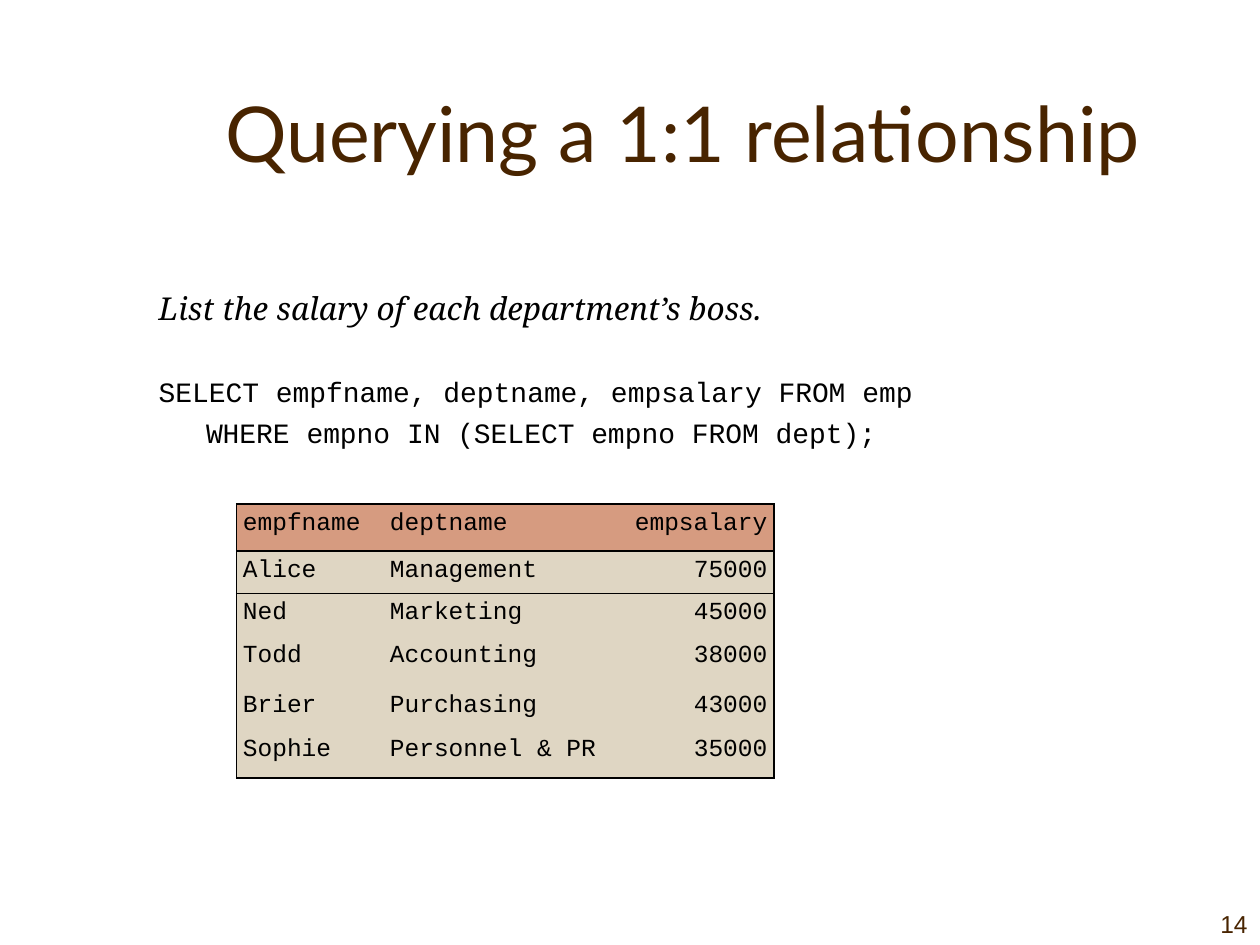
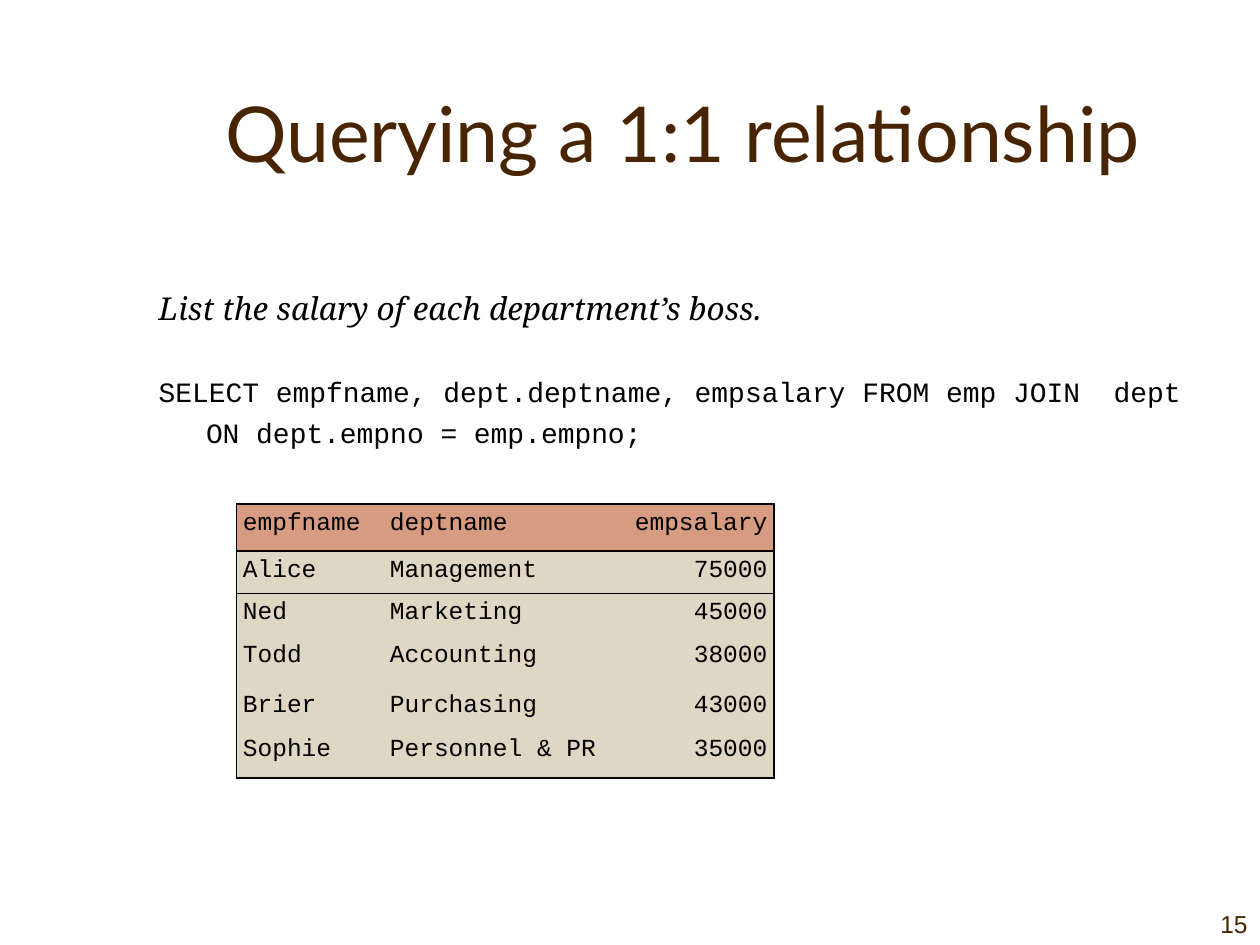
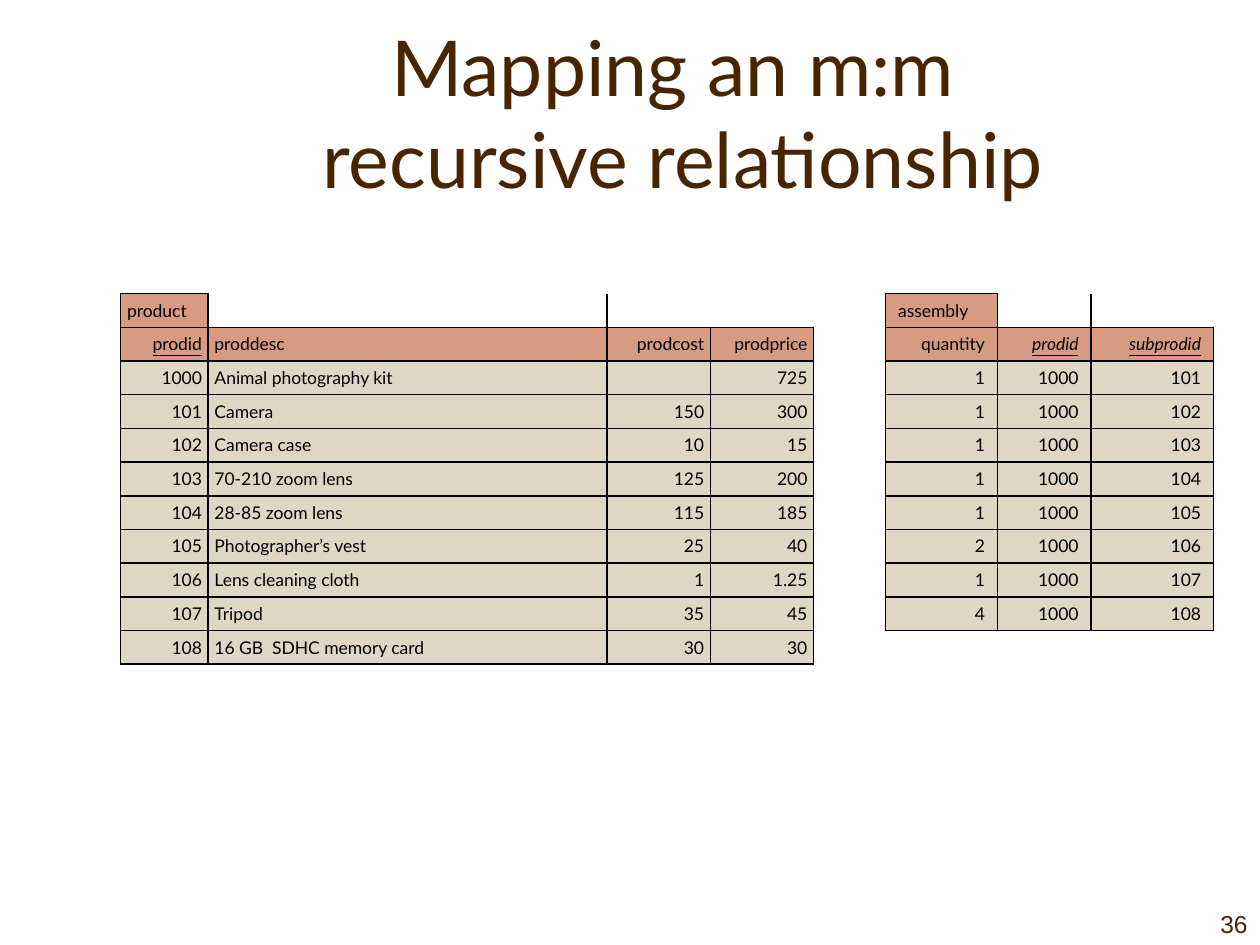
import pptx
import pptx.util
import pptx.dml.color
import pptx.enum.text
import pptx.oxml.ns
import lxml.etree

Pt = pptx.util.Pt
qn = pptx.oxml.ns.qn
AL = pptx.enum.text.PP_ALIGN
ANCHOR = pptx.enum.text.MSO_ANCHOR

HUES = {"title": "482400", "ink": "000000", "head": "D69B80", "cell": "DFD6C3"}
PLAIN = "{2D5ABB26-0587-4C30-8999-92F81FD0307C}"  # table style without lines


def hue(name):
    return pptx.dml.color.RGBColor.from_string(HUES[name])


def write(para, text, font="Lato", size=10, color="ink", align=AL.LEFT,
          above=0, below=0, italic=False, under=False):
    """Put text in a paragraph and format it."""
    para.text = text
    para.alignment = align
    para.space_before, para.space_after = Pt(above), Pt(below)
    for run in para.runs:
        run.font.name, run.font.size = font, Pt(size)
        run.font.color.rgb = hue(color)
        run.font.italic, run.font.underline = italic, under
    if not text:
        lxml.etree.SubElement(para._p, qn("a:endParaRPr"), sz=str(size * 100))


def edge(cell, sides):
    """Draw 1 pt lines on the given sides, before any fill is set."""
    props = cell._tc.get_or_add_tcPr()
    for side in sides:
        line = lxml.etree.SubElement(props, qn("a:ln" + side), w=str(Pt(1)))
        fill = lxml.etree.SubElement(line, qn("a:solidFill"))
        lxml.etree.SubElement(fill, qn("a:srgbClr"), val=HUES["ink"])


def outer(row, col, rows, cols):
    """Sides for a frame with a ruled header."""
    tests = {"L": col == 0, "R": col == cols - 1,
             "T": row < 2, "B": row in (0, rows - 1)}
    return [side for side, on in tests.items() if on]


def grid(row, col, rows, cols):
    """Sides for a full grid below a name tab in the first cell."""
    if row == 0 and col > 0:
        return "LB" if col == 1 else "B"
    return "LRTB"


class Deck:
    def __init__(self):
        self.prs = pptx.Presentation()
        self.prs.slide_width, self.prs.slide_height = Pt(720), Pt(540)

    def place(self, shape, left, top, width, height):
        shape.left, shape.top = Pt(left), Pt(top)
        shape.width, shape.height = Pt(width), Pt(height)

    def start(self, layout, title, number, anchor=ANCHOR.MIDDLE):
        """Add a slide with its title and page number."""
        self.slide = self.prs.slides.add_slide(self.prs.slide_layouts[layout])
        head = self.slide.shapes.title
        self.place(head, 84.24, 30.24, 612, 90)
        frame = head.text_frame
        frame.auto_size = pptx.enum.text.MSO_AUTO_SIZE.NONE
        frame.vertical_anchor = anchor
        write(frame.paragraphs[0], title, size=44, color="title", align=AL.CENTER)

        box = self.slide.shapes.add_textbox(Pt(648), Pt(504), Pt(72), Pt(36))
        frame = box.text_frame
        frame.word_wrap = True
        frame.vertical_anchor = ANCHOR.BOTTOM
        write(frame.paragraphs[0], str(number), font="Arial", size=14,
              color="title", align=AL.RIGHT)

    def query(self, task, lines):
        """Fill the body with a task and its SQL."""
        body = self.slide.placeholders[1]
        self.place(body, 83.5, 161.3, 612, 324)
        frame = body.text_frame
        frame.auto_size = pptx.enum.text.MSO_AUTO_SIZE.NONE
        code = {"font": "Courier New", "size": 16}
        items = [(task, -27, {"font": "Noto Serif", "size": 18, "italic": True}),
                 (lines[0], -27, {"above": 27.3, **code}),
                 (lines[1], 0, {"above": 4.7, **code})]
        for i, (text, hang, style) in enumerate(items):
            para = frame.add_paragraph() if i else frame.paragraphs[0]
            write(para, text, **style)
            props = para._p.get_or_add_pPr()
            props.set("marL", str(Pt(27)))
            props.set("indent", str(Pt(hang)))
            lxml.etree.SubElement(props, qn("a:buNone"))

    def table(self, left, top, widths, heights, data, sides, heads=1,
              words=(), flush=AL.LEFT, pad=3.6, marks=None, **style):
        """Add a table; columns in words are text, the rest numbers."""
        rows, cols = len(data), len(widths)
        shape = self.slide.shapes.add_table(
            rows, cols, Pt(left), Pt(top), Pt(sum(widths)), Pt(sum(heights)))
        table = shape.table
        table.first_row = table.horz_banding = False
        table._tbl.tblPr[0].text = PLAIN
        for col, width in zip(table.columns, widths):
            col.width = Pt(width)
        for row, height in zip(table.rows, heights):
            row.height = Pt(height)
        for r, line in enumerate(data):
            tab = len(line) == 1  # a name tab stands alone in its row
            for c in range(cols):
                text = line[c] if c < len(line) else ""
                cell = table.cell(r, c)
                cell.margin_left = cell.margin_right = Pt(pad)
                cell.margin_top = cell.margin_bottom = Pt(3.6)
                edge(cell, sides(r, c, rows, cols))
                if tab and c:
                    cell.fill.background()
                else:
                    cell.fill.solid()
                    cell.fill.fore_color.rgb = hue("head" if r < heads else "cell")
                align = flush if tab or c in words else AL.RIGHT
                extra = (marks or {}).get((r, c), {})
                write(cell.text_frame.paragraphs[0], text, align=align,
                      **style, **extra)


deck = Deck()

# Two ways to query the same 1:1 relationship
bosses = [
    ("empfname", "deptname", "empsalary"),
    ("Alice", "Management", "75000"),
    ("Ned", "Marketing", "45000"),
    ("Todd", "Accounting", "38000"),
    ("Brier", "Purchasing", "43000"),
    ("Sophie", "Personnel & PR", "35000"),
]
queries = {
    14: ("SELECT empfname, deptname, empsalary FROM emp",
         "WHERE empno IN (SELECT empno FROM dept);"),
    15: ("SELECT empfname, dept.deptname, empsalary FROM emp JOIN  dept",
         "ON dept.empno = emp.empno;"),
}
for number, lines in queries.items():
    deck.start(1, "Querying a 1:1 relationship", number)
    deck.query("List the salary of each department\u2019s boss.", lines)
    deck.table(135.2, 288, (84, 133, 90), (27, 23.2, 24.3, 28.8, 25, 27.4),
               bosses, outer, words=(0, 1), font="Courier New", size=14,
               above=2.8)

# Recursive m:m relationship: products and their assembly
deck.start(5, "Mapping an m:m \vrecursive relationship", 36, ANCHOR.BOTTOM)
goods = [
    ("product",),
    ("prodid", "proddesc", "prodcost", "prodprice"),
    ("1000", "Animal photography kit", "", "725"),
    ("101", "Camera", "150", "300"),
    ("102", "Camera case", "10", "15"),
    ("103", "70-210 zoom lens", "125", "200"),
    ("104", "28-85 zoom lens", "115", "185"),
    ("105", "Photographer\u2019s vest", "25", "40"),
    ("106", "Lens cleaning cloth", "1", "1.25"),
    ("107", "Tripod", "35", "45"),
    ("108", "16 GB  SDHC memory card", "30", "30"),
]
counts = (1, 1, 1, 1, 1, 2, 1, 4)
parts = [("assembly",), ("quantity", "prodid", "subprodid")]
parts += [(str(n), "1000", str(101 + i)) for i, n in enumerate(counts)]

look = {"heads": 2, "flush": AL.JUSTIFY, "above": 3, "below": 3}
key = {"under": True}
both = {"under": True, "italic": True}
deck.table(69, 167.8, (50, 228, 59, 59), [19.2] * len(goods), goods, grid,
           words=(1,), marks={(1, 0): key}, **look)
deck.table(506, 167.8, (64, 53.5, 70), [19.2] * len(parts), parts, grid,
           pad=7.2, marks={(1, 1): both, (1, 2): both}, **look)

deck.prs.save("out.pptx")
